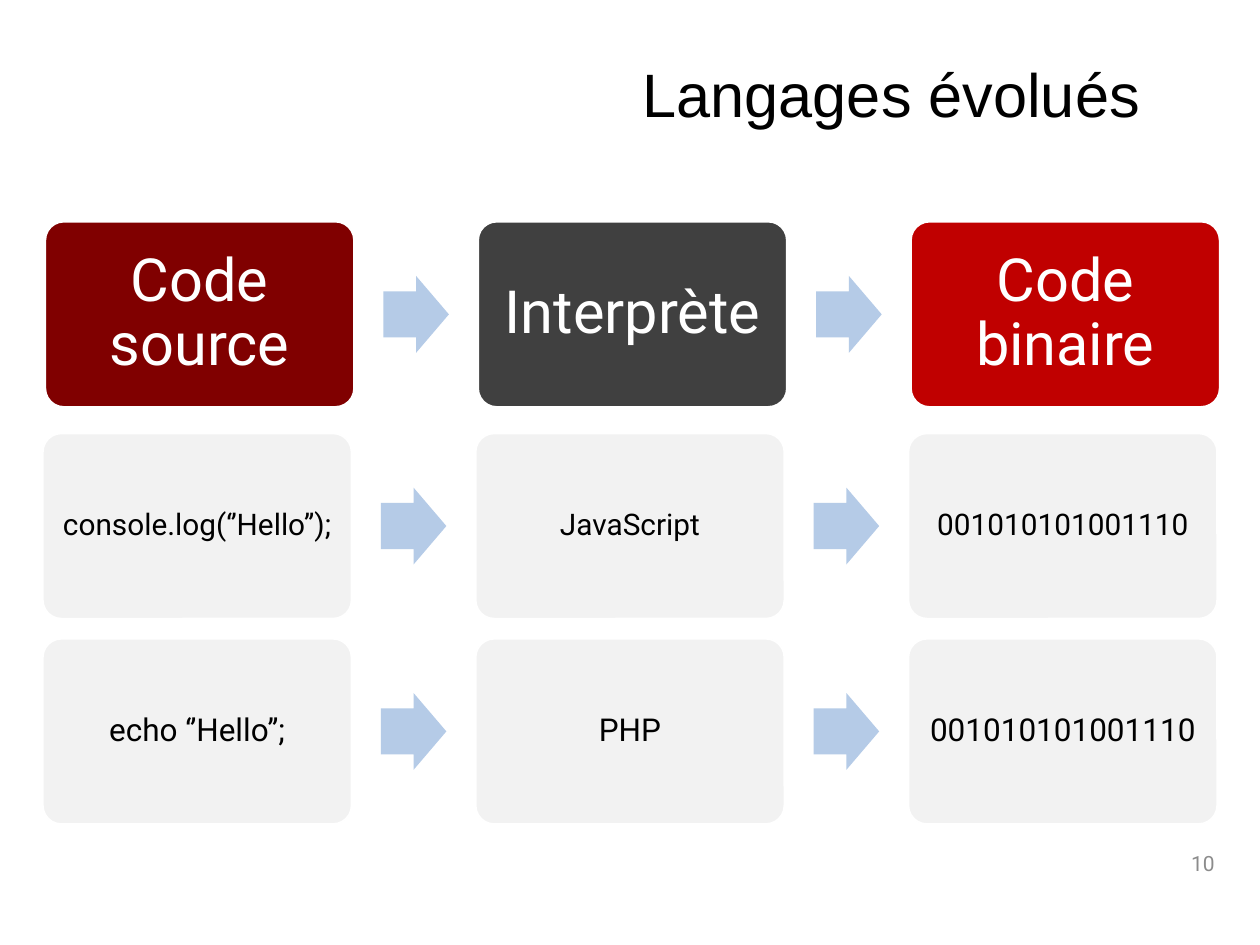
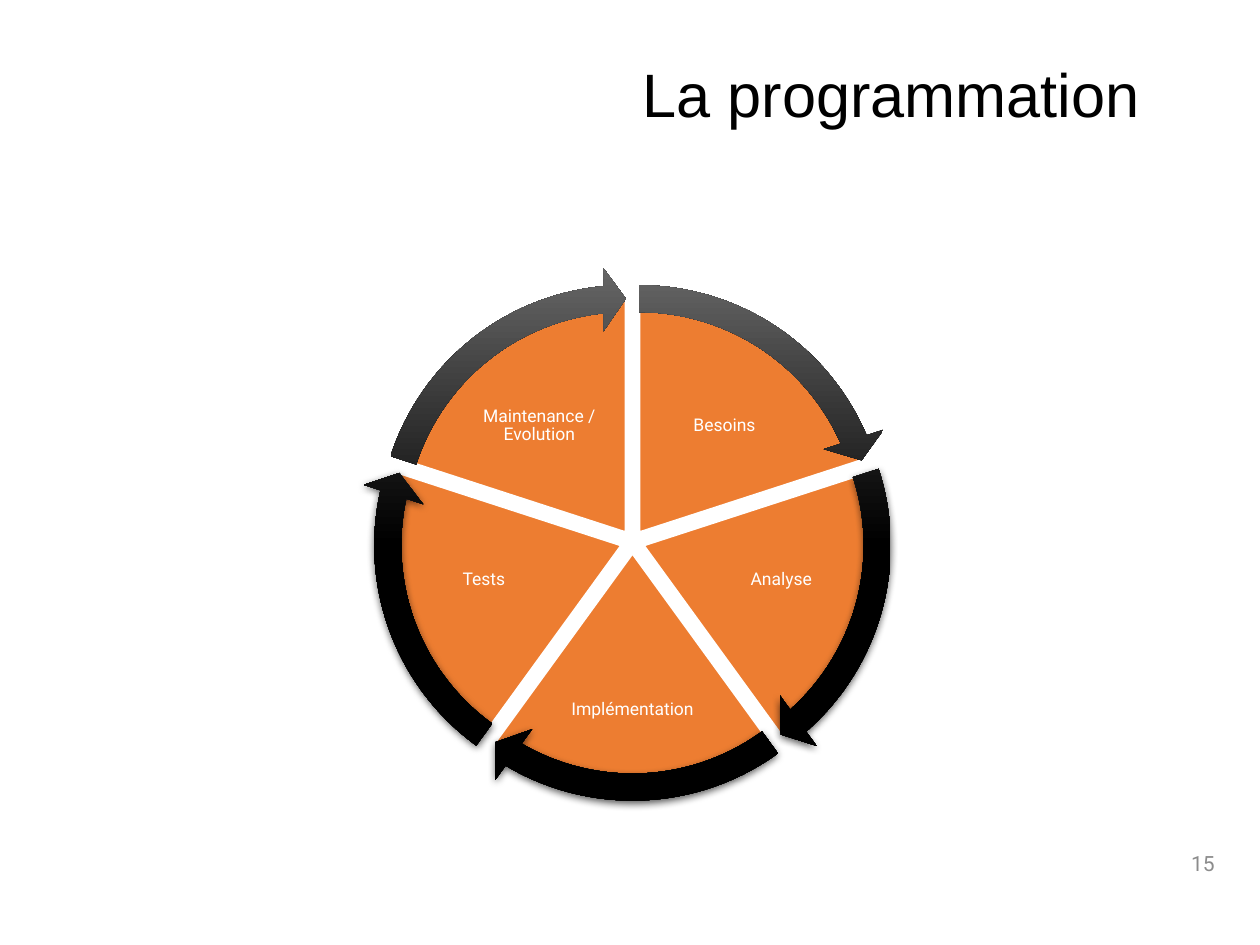
from math import cos, radians, sin

from lxml import etree
from pptx import Presentation
from pptx.dml.color import RGBColor
from pptx.enum.shapes import MSO_SHAPE as Shape
from pptx.enum.text import MSO_ANCHOR as Anchor, MSO_AUTO_SIZE as AutoSize, PP_ALIGN as Align
from pptx.oxml import parse_xml
from pptx.oxml.ns import nsdecls, qn
from pptx.util import Inches, Pt

COLORS = {
    "black": "000000",
    "white": "FFFFFF",
    "number": "8C8C8C",
    "source": "800000",
    "interpreter": "404040",
    "binary": "C00000",
    "example": "F2F2F2",
    "flow": "B5CBE7",
    "sector": "ED7D31",
}
TITLE_FONT, BODY_FONT = "Arial", "Roboto"

# Flow rows: left, top, text size, margin, font colour, (text, fill) per box
EXAMPLE_FILLS = ["example"] * 3
FLOW_ROWS = [
    (0.36, 1.76, 34, 0.14, "white", ["Code source", "Interprète", "Code binaire"],
     ["source", "interpreter", "binary"]),
    (0.34, 3.44, 17, 0.07, "black",
     ["console.log(‘’Hello’’);", "JavaScript", "001010101001110"], EXAMPLE_FILLS),
    (0.34, 5.07, 18, 0.07, "black",
     ["echo ‘’Hello’’;", "PHP", "001010101001110"], EXAMPLE_FILLS),
]

# Cycle steps: text, label centre from the cycle's centre, label size
CYCLE_STEPS = [
    ("Besoins", 0.73, -0.92, 1.2, 0.8),
    ("Analyse", 1.18, 0.3, 1.11, 0.89),
    ("Implémentation", 0, 1.33, 1.07, 0.98),
    ("Tests", -1.18, 0.3, 1.11, 0.89),
    ("Maintenance / Evolution", -0.74, -0.92, 1.2, 0.8),
]
# Arrow gradients: stops in percent, and clockwise angle
RISING = ([(0, "000000"), (48, "080808"), (100, "666666")], 270)
FALLING = ([(0, "4B4B4B"), (50, "000000"), (100, "000000")], 90)


def rgb(name):
    return RGBColor.from_string(COLORS[name])


def write(shape, text, size, color, align=Align.CENTER, font=BODY_FONT,
          margin=None, spacing=0.9):
    frame = shape.text_frame
    frame.text = text
    frame.word_wrap = True
    frame.auto_size = AutoSize.NONE
    frame.vertical_anchor = Anchor.MIDDLE
    if margin is not None:
        frame.margin_left = frame.margin_right = Inches(margin)
        frame.margin_top = frame.margin_bottom = Inches(margin)
    paragraph = frame.paragraphs[0]
    paragraph.alignment = align
    paragraph.line_spacing = spacing
    for run in paragraph.runs:
        run.font.name = font
        run.font.size = Pt(size)
        run.font.color.rgb = rgb(color)


def add_preset(shapes, preset, box, adjustments, fill=None, outline=None):
    shape = shapes.add_shape(preset, *map(Inches, box))
    shape.shadow.inherit = False
    for index, value in enumerate(adjustments):
        shape.adjustments[index] = value
    if fill:
        shape.fill.solid()
        shape.fill.fore_color.rgb = rgb(fill)
    if outline:
        shape.line.color.rgb = rgb("white")
        shape.line.width = Pt(outline)
    else:
        shape.line.fill.background()
    return shape


def around(x, y, width, height):
    """Box of the given size centred on a point."""
    return x - width / 2, y - height / 2, width, height


def add_titled_slide(deck, title, number):
    slide = deck.slides.add_slide(deck.slide_layouts[5])
    heading = slide.shapes.title
    heading.left, heading.top = Inches(5), Inches(0.25)
    heading.width, heading.height = Inches(4.69), Inches(1.05)
    write(heading, title, 35, "black", Align.LEFT, TITLE_FONT)
    page = slide.shapes.add_textbox(*map(Inches, (7.49, 6.65, 2.25, 0.4)))
    write(page, str(number), 12, "number", Align.RIGHT, spacing=1)
    return slide


def add_flow_row(slide, left, top, size, margin, color, texts, fills):
    box_width, box_height, pitch = 2.45, 1.47, 3.435
    shapes = slide.shapes.add_group_shape().shapes
    for column, (text, fill) in enumerate(zip(texts, fills)):
        x = left + column * pitch
        # Arrow in the gap before every box but the first
        if column:
            gap_middle = x - (pitch - box_width) / 2
            add_preset(shapes, Shape.RIGHT_ARROW,
                       around(gap_middle, top + box_height / 2, 0.52, 0.61),
                       [0.6, 0.5], "flow")
        step = add_preset(shapes, Shape.ROUNDED_RECTANGLE,
                          (x, top, box_width, box_height), [0.1], fill, 1)
        write(step, text, size, color, margin=margin)


def apply_gradient(shape, stops, angle):
    marks = "".join(f'<a:gs pos="{pos * 1000}"><a:srgbClr val="{color}"/></a:gs>'
                    for pos, color in stops)
    gradient = parse_xml(f'<a:gradFill {nsdecls("a")} rotWithShape="1"><a:gsLst>{marks}</a:gsLst>'
                         f'<a:lin ang="{angle * 60000}" scaled="0"/></a:gradFill>')
    shape._element.spPr.find(qn("a:prstGeom")).addnext(gradient)


def apply_shadow(shape):
    effects = shape._element.spPr.find(qn("a:effectLst"))
    shadow = etree.SubElement(effects, qn("a:outerShdw"), blurRad=str(Pt(4.5)),
                              dist=str(Pt(1.5)), dir="5400000", rotWithShape="0")
    tint = etree.SubElement(shadow, qn("a:srgbClr"), val=COLORS["black"])
    etree.SubElement(tint, qn("a:alpha"), val="63000")


def add_cycle(slide, center_x, center_y, pie_size=3.75, ring_size=4.21, spread=0.09):
    shapes = slide.shapes.add_group_shape().shapes
    sweep = 360 / len(CYCLE_STEPS)
    unit = 0.6  # adjustment units per degree
    arcs = []
    # Sectors, pushed outwards along their bisectors, with labels
    for index, (text, dx, dy, width, height) in enumerate(CYCLE_STEPS):
        start = (270 + index * sweep) % 360
        end = (start + sweep) % 360
        bisector = radians(start + sweep / 2)
        x = center_x + spread * cos(bisector)
        y = center_y + spread * sin(bisector)
        arcs.append((x, y, start * unit, end * unit))
        add_preset(shapes, Shape.PIE, around(x, y, pie_size, pie_size),
                   [start * unit, end * unit], "sector", 1.5)
        label = shapes.add_textbox(
            *map(Inches, around(center_x + dx, center_y + dy, width, height)))
        write(label, text, 10, "white", margin=0.01)
    # Arrows around the rim; the lower three cast a shadow
    head = 3.275
    for index, (x, y, start, end) in enumerate(arcs):
        arrow = add_preset(shapes, Shape.CIRCULAR_ARROW, around(x, y, ring_size, ring_size),
                           [0.051, head, end - head, start, 0.059])
        upper = index in (0, len(arcs) - 1)
        apply_gradient(arrow, *(RISING if upper else FALLING))
        if not upper:
            apply_shadow(arrow)


def main():
    deck = Presentation()
    deck.slide_width, deck.slide_height = Inches(10), Inches(7.5)

    languages = add_titled_slide(deck, "Langages évolués", 10)
    for row in FLOW_ROWS:
        add_flow_row(languages, *row)

    programming = add_titled_slide(deck, "La programmation", 15)
    add_cycle(programming, 5.02, 4.3)

    deck.save("out.pptx")


if __name__ == "__main__":
    main()
